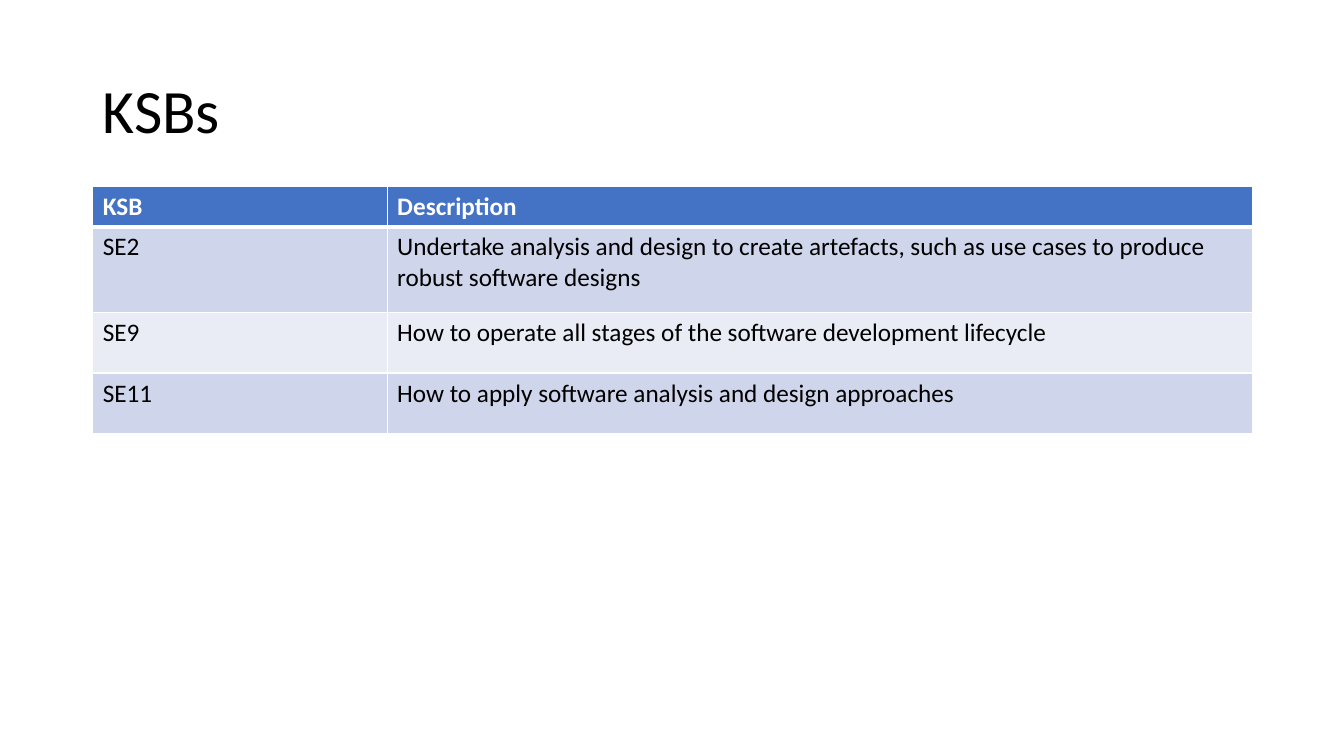
from dataclasses import dataclass

from lxml.etree import SubElement
from pptx import Presentation
from pptx.dml.color import RGBColor as RGB
from pptx.enum.text import MSO_ANCHOR as Anchor
from pptx.oxml.ns import qn
from pptx.util import Inches, Pt


@dataclass(frozen=True)
class Theme:
    font: str = "Calibri"
    title: int = 44
    body: int = 18
    ink: str = "000000"
    paper: str = "FFFFFF"
    head: str = "4472C4"
    bands: tuple = ("CFD5EA", "E9EBF5")
    rule: float = 1
    thick: float = 3


THEME = Theme()
COLS = (2.92, 8.58)
HEIGHTS = (0.4, 0.85, 0.6, 0.6)
ROWS = (
    ("KSB", "Description"),
    ("SE2", "Undertake analysis and design to create artefacts, "
            "such as use cases to produce robust software designs"),
    ("SE9", "How to operate all stages of the software development lifecycle"),
    ("SE11", "How to apply software analysis and design approaches"),
)


def style(frame, size, color, bold=False):
    for par in frame.paragraphs:
        for run in par.runs:
            font = run.font
            font.name, font.size, font.bold = THEME.font, Pt(size), bold
            font.color.rgb = RGB.from_string(color)


def edge(cell, **widths):
    """Draw cell borders; must run before the cell is filled."""
    props = cell._tc.get_or_add_tcPr()
    for side in "LRTB":
        line = SubElement(props, qn(f"a:ln{side}"),
                          w=str(Pt(widths.get(side, THEME.rule))))
        fill = SubElement(line, qn("a:solidFill"))
        SubElement(fill, qn("a:srgbClr"), val=THEME.paper)


def add_title(slide, text, left, top, width, height):
    box = slide.shapes.add_textbox(
        Inches(left), Inches(top), Inches(width), Inches(height))
    frame = box.text_frame
    frame.word_wrap = True
    frame.vertical_anchor = Anchor.MIDDLE
    frame.text = text
    frame.paragraphs[0].line_spacing = 0.9
    style(frame, THEME.title, THEME.ink)


def add_grid(slide, left, top, width, height):
    table = slide.shapes.add_table(
        len(ROWS), len(COLS), Inches(left), Inches(top),
        Inches(width), Inches(height)).table
    for col, size in zip(table.columns, COLS):
        col.width = Inches(width * size / sum(COLS))
    for row, size in zip(table.rows, HEIGHTS):
        row.height = Inches(height * size / sum(HEIGHTS))
    for r, texts in enumerate(ROWS):
        head = r == 0
        back = THEME.head if head else THEME.bands[(r - 1) % 2]
        for c, text in enumerate(texts):
            cell = table.cell(r, c)
            cell.text_frame.text = text
            style(cell.text_frame, THEME.body,
                  THEME.paper if head else THEME.ink, head)
            edge(cell, B=THEME.thick if head else THEME.rule,
                 T=THEME.thick if r == 1 else THEME.rule)
            cell.fill.solid()
            cell.fill.fore_color.rgb = RGB.from_string(back)


def main():
    deck = Presentation()
    deck.slide_width, deck.slide_height = Inches(13.33), Inches(7.5)
    slide = deck.slides.add_slide(deck.slide_layouts[6])
    add_title(slide, "KSBs", 0.92, 0.4, 11.5, 1.45)
    add_grid(slide, 0.92, 1.85, 11.5, 2.45)
    deck.save("out.pptx")


if __name__ == "__main__":
    main()
